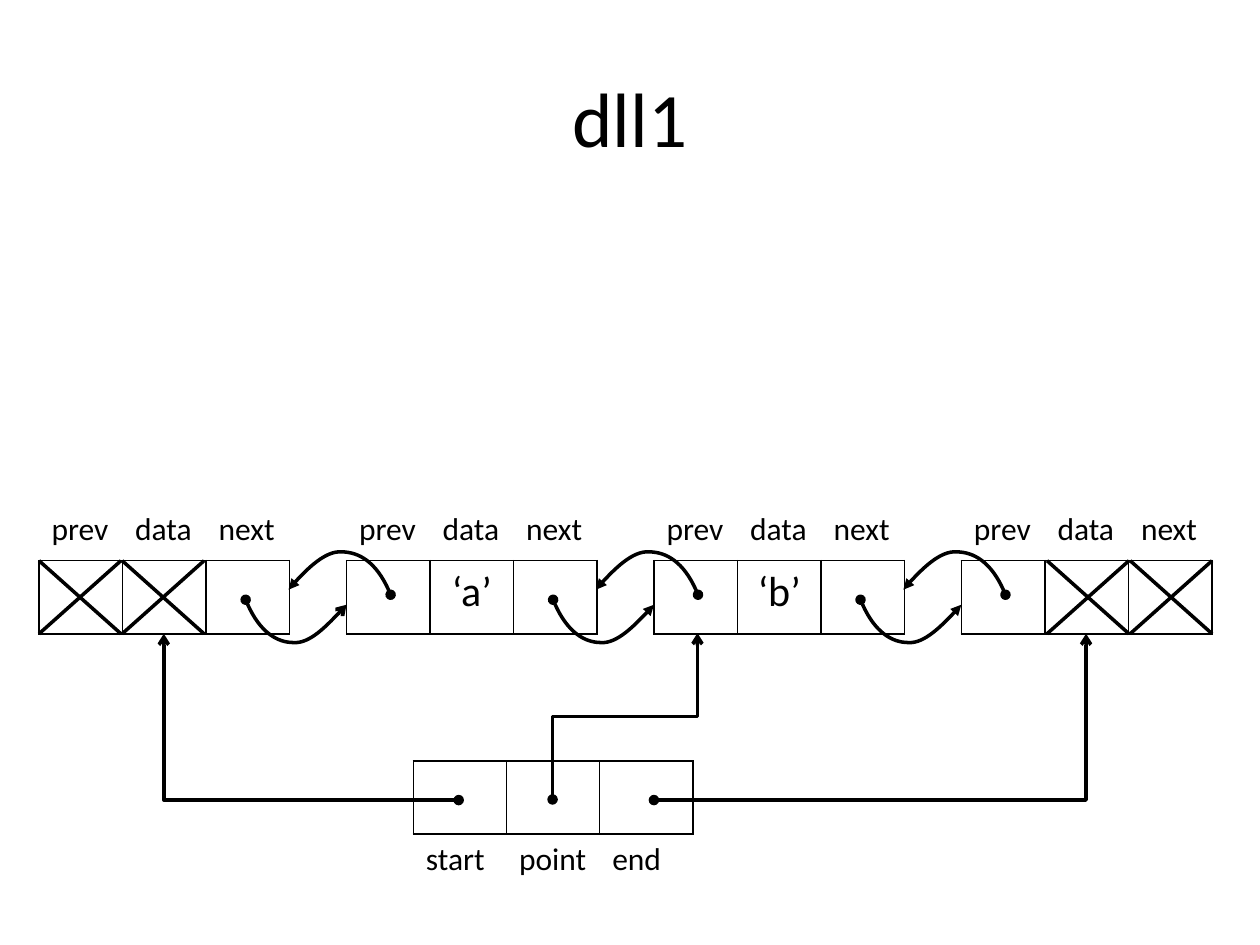
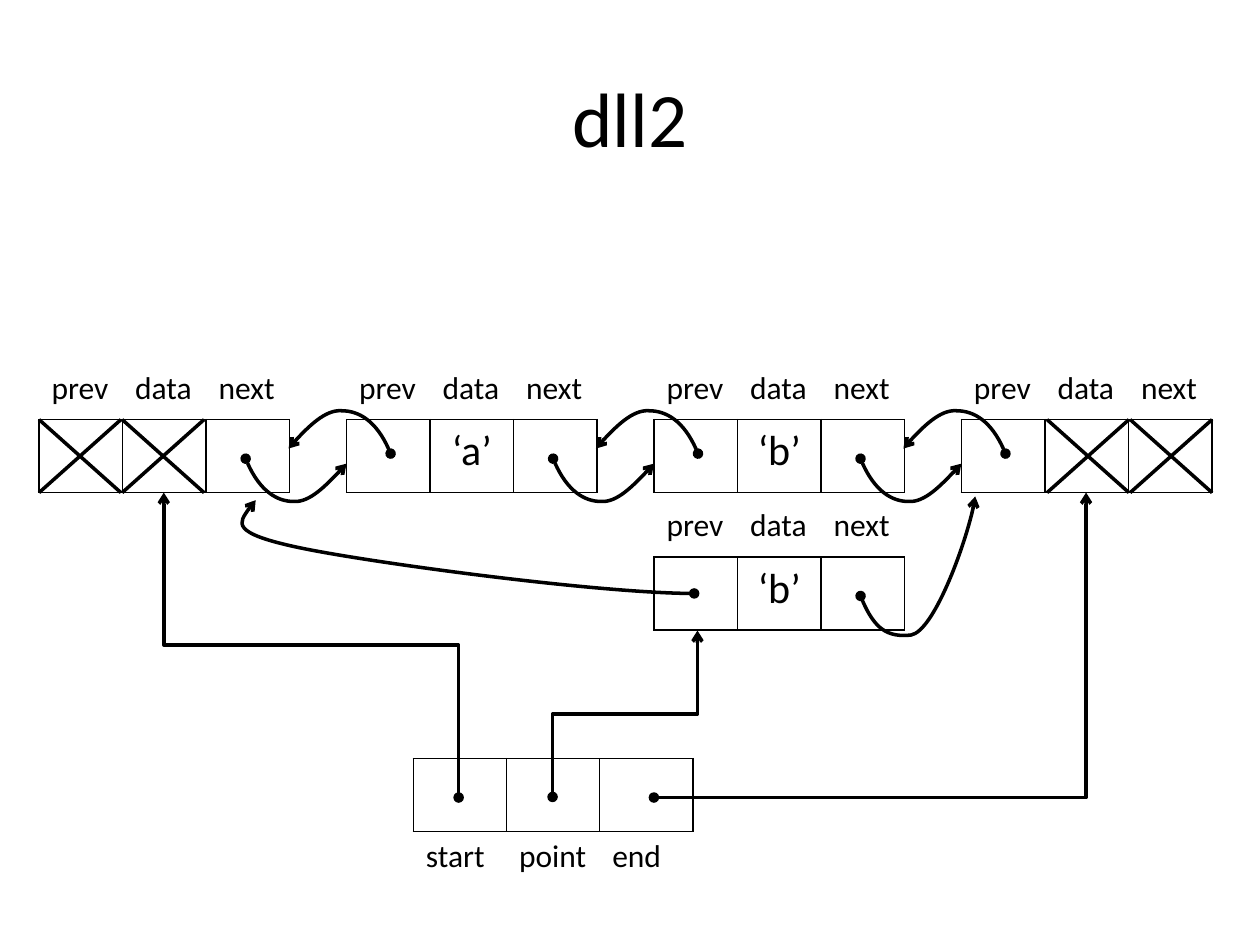
"""Draw two doubly linked list diagrams, one per slide."""
from dataclasses import dataclass

from lxml.etree import SubElement
from pptx import Presentation
from pptx.dml.color import RGBColor as Rgb
from pptx.enum.shapes import MSO_CONNECTOR as Connector
from pptx.enum.text import MSO_ANCHOR as Anchor, PP_ALIGN as Align
from pptx.oxml.ns import qn
from pptx.util import Emu, Pt

PX = 9144
COLORS = {"ink": "000000", "paper": "FFFFFF"}
FONT = "Calibri"
PLAIN_TABLE = "{2D5ABB26-0587-4C30-8999-92F81FD0307C}"
FIELDS = ("prev", "data", "next")
POINTERS = ("start", "point", "end")
EMPTY = ("", "", "")
NODE_LEFT, NODE_PITCH, NODE_WIDTH = 31, 244, 199
REGISTER_LEFT, REGISTER_WIDTH = 328, 222
CELL_HEIGHT, LABEL_HEIGHT, LABEL_RISE = 58, 40, 45
CROSS_LEFTS, CROSS_WIDTH = (31, 97, 831, 897), 65
BACK_CURVE = ((310, 27), (300, 2), (285, -7), (271, -7), (258, -8), (236, 14), (229, 23))
NEXT_CURVE = ((195, 31), (205, 56), (220, 65), (233, 65), (246, 66), (268, 43), (275, 35))
ELBOW_TURNS = {
    (False, True): (0, ("flipV",)),
    (False, False): (180, ()),
    (True, True): (90, ("flipH", "flipV")),
    (True, False): (270, ("flipV",)),
}

Point = tuple[int, int]


@dataclass(frozen=True)
class Curve:
    points: tuple[Point, ...]
    head: str = "oval"
    tail: str = "arrow"


@dataclass(frozen=True)
class Elbow:
    begin: Point
    end: Point
    stepped: bool = False


@dataclass(frozen=True)
class Node:
    column: int
    top: int
    value: str = ""

    @property
    def left(self) -> int:
        return NODE_LEFT + NODE_PITCH * self.column


@dataclass(frozen=True)
class Diagram:
    title: str
    list_top: int
    register_top: int
    back_tails: tuple[str, ...]
    next_tails: tuple[str, ...]
    elbows: tuple[Elbow, ...]
    extra_nodes: tuple[Node, ...] = ()
    extra_curves: tuple[Curve, ...] = ()


DIAGRAMS = (
    Diagram(
        "dll1", 445, 604,
        ("triangle",) * 3, ("arrow", "triangle", "triangle"),
        (
            Elbow((364, 635), (130, 503)),
            Elbow((439, 635), (554, 503), True),
            Elbow((519, 635), (862, 503)),
        ),
    ),
    Diagram(
        "dll2", 333, 602,
        ("arrow",) * 3, ("arrow",) * 3,
        (
            Elbow((364, 633), (130, 391), True),
            Elbow((439, 633), (554, 501), True),
            Elbow((519, 633), (862, 391)),
        ),
        (Node(2, 442, "‘b’"),),
        (
            Curve(((683, 473), (693, 498), (704, 506), (723, 504),
                   (741, 501), (771, 420), (774, 394))),
            Curve(((203, 397), (192, 410), (181, 423), (239, 435),
                   (297, 447), (477, 471), (551, 471)), "arrow", "oval"),
        ),
    ),
)


def px(length: int) -> Emu:
    return Emu(length * PX)


def color(name: str) -> Rgb:
    return Rgb.from_string(COLORS[name])


def write(para, text: str, size: int) -> None:
    span = para.add_run()
    span.text = text
    span.font.name = FONT
    span.font.size = Pt(size)
    span.font.color.rgb = color("ink")


def border(cell) -> None:
    properties = cell._tc.get_or_add_tcPr()
    for side in ("a:lnL", "a:lnR", "a:lnT", "a:lnB"):
        edge = SubElement(properties, qn(side), w=str(Pt(1)))
        fill = SubElement(edge, qn("a:solidFill"))
        SubElement(fill, qn("a:srgbClr"), val=COLORS["ink"])


def draw_row(page, left: int, top: int, width: int, texts: tuple[str, ...], boxed: bool) -> None:
    height = CELL_HEIGHT if boxed else LABEL_HEIGHT
    frame = page.shapes.add_table(1, len(texts), px(left), px(top), px(width), px(height))
    table = frame.table
    table.first_row = table.horz_banding = False
    frame.element.find(".//" + qn("a:tableStyleId")).text = PLAIN_TABLE
    for cell, text in zip(table.rows[0].cells, texts):
        if boxed:
            border(cell)
            cell.fill.solid()
            cell.fill.fore_color.rgb = color("paper")
        else:
            cell.fill.background()
        if text:
            para = cell.text_frame.paragraphs[0]
            para.alignment = Align.CENTER if boxed else Align.LEFT
            write(para, text, 24 if boxed else 18)


def draw_node(page, node: Node) -> None:
    draw_row(page, node.left, node.top, NODE_WIDTH, ("", node.value, ""), True)
    draw_row(page, node.left, node.top - LABEL_RISE, NODE_WIDTH, FIELDS, False)


def style_line(shape, head: str = "", tail: str = "") -> None:
    shape.line.color.rgb = color("ink")
    shape.line.width = Pt(2)
    line = shape.element.spPr.find(qn("a:ln"))
    for tag, kind in (("a:headEnd", head), ("a:tailEnd", tail)):
        if kind:
            SubElement(line, qn(tag), type=kind)


def draw_curve(page, curve: Curve) -> None:
    start, *rest = curve.points
    builder = page.shapes.build_freeform(*start, scale=PX)
    builder.add_line_segments(rest, close=False)
    shape = builder.convert_to_shape()
    shape.shadow.inherit = False
    shape.fill.background()
    style_line(shape, curve.head, curve.tail)
    outline = shape.element.spPr.find(".//" + qn("a:path"))
    segments = outline.findall(qn("a:lnTo"))
    for first in range(0, len(segments), 3):
        bezier = SubElement(outline, qn("a:cubicBezTo"))
        for segment in segments[first:first + 3]:
            bezier.append(segment[0])
            outline.remove(segment)


def add_line(page, kind, begin: Point, end: Point, head: str = "", tail: str = ""):
    line = page.shapes.add_connector(kind, *map(px, begin + end))
    style_line(line, head, tail)
    SubElement(line.element.spPr, qn("a:effectLst"))
    return line


def draw_cross(page, left: int, top: int) -> None:
    right, bottom = left + CROSS_WIDTH, top + CELL_HEIGHT
    add_line(page, Connector.STRAIGHT, (left, top), (right, bottom))
    add_line(page, Connector.STRAIGHT, (left, bottom), (right, top))


def draw_elbow(page, elbow: Elbow) -> None:
    (x1, y1), (x2, y2) = elbow.begin, elbow.end
    width, height = abs(x2 - x1), abs(y2 - y1)
    if elbow.stepped:
        width, height = height, width
    left, top = (x1 + x2 - width) // 2, (y1 + y2 - height) // 2
    line = add_line(page, Connector.ELBOW, (left, top),
                    (left + width, top + height), "oval", "arrow")
    turn, flips = ELBOW_TURNS[elbow.stepped, x2 > x1]
    properties = line.element.spPr
    transform = properties.find(qn("a:xfrm"))
    transform.set("rot", str(turn * 60000))
    for flip in flips:
        transform.set(flip, "1")
    if not elbow.stepped:
        properties.find(qn("a:prstGeom")).set("prst", "bentConnector2")


def draw_title(page, text: str) -> None:
    title = page.shapes.title
    title.left, title.top, title.width, title.height = map(px, (50, 30, 900, 125))
    title.text_frame.vertical_anchor = Anchor.MIDDLE
    para = title.text_frame.paragraphs[0]
    para.alignment = Align.CENTER
    write(para, text, 44)


def draw_links(page, diagram: Diagram) -> None:
    for gap, tails in enumerate(zip(diagram.back_tails, diagram.next_tails)):
        for shape, tail in zip((BACK_CURVE, NEXT_CURVE), tails):
            points = tuple((x + NODE_PITCH * gap, y + diagram.list_top) for x, y in shape)
            draw_curve(page, Curve(points, tail=tail))


def draw_diagram(deck, diagram: Diagram) -> None:
    page = deck.slides.add_slide(deck.slide_layouts[5])
    draw_title(page, diagram.title)
    for column, value in enumerate(("", "‘a’", "‘b’", "")):
        draw_node(page, Node(column, diagram.list_top, value))
    draw_links(page, diagram)
    for left in CROSS_LEFTS:
        draw_cross(page, left, diagram.list_top)
    top = diagram.register_top
    draw_row(page, REGISTER_LEFT, top + CELL_HEIGHT, REGISTER_WIDTH, POINTERS, False)
    draw_row(page, REGISTER_LEFT, top, REGISTER_WIDTH, EMPTY, True)
    for elbow in diagram.elbows:
        draw_elbow(page, elbow)
    for node in diagram.extra_nodes:
        draw_node(page, node)
    for curve in diagram.extra_curves:
        draw_curve(page, curve)


def main() -> None:
    deck = Presentation()
    deck.slide_width, deck.slide_height = px(1000), px(750)
    for diagram in DIAGRAMS:
        draw_diagram(deck, diagram)
    deck.save("out.pptx")


if __name__ == "__main__":
    main()
